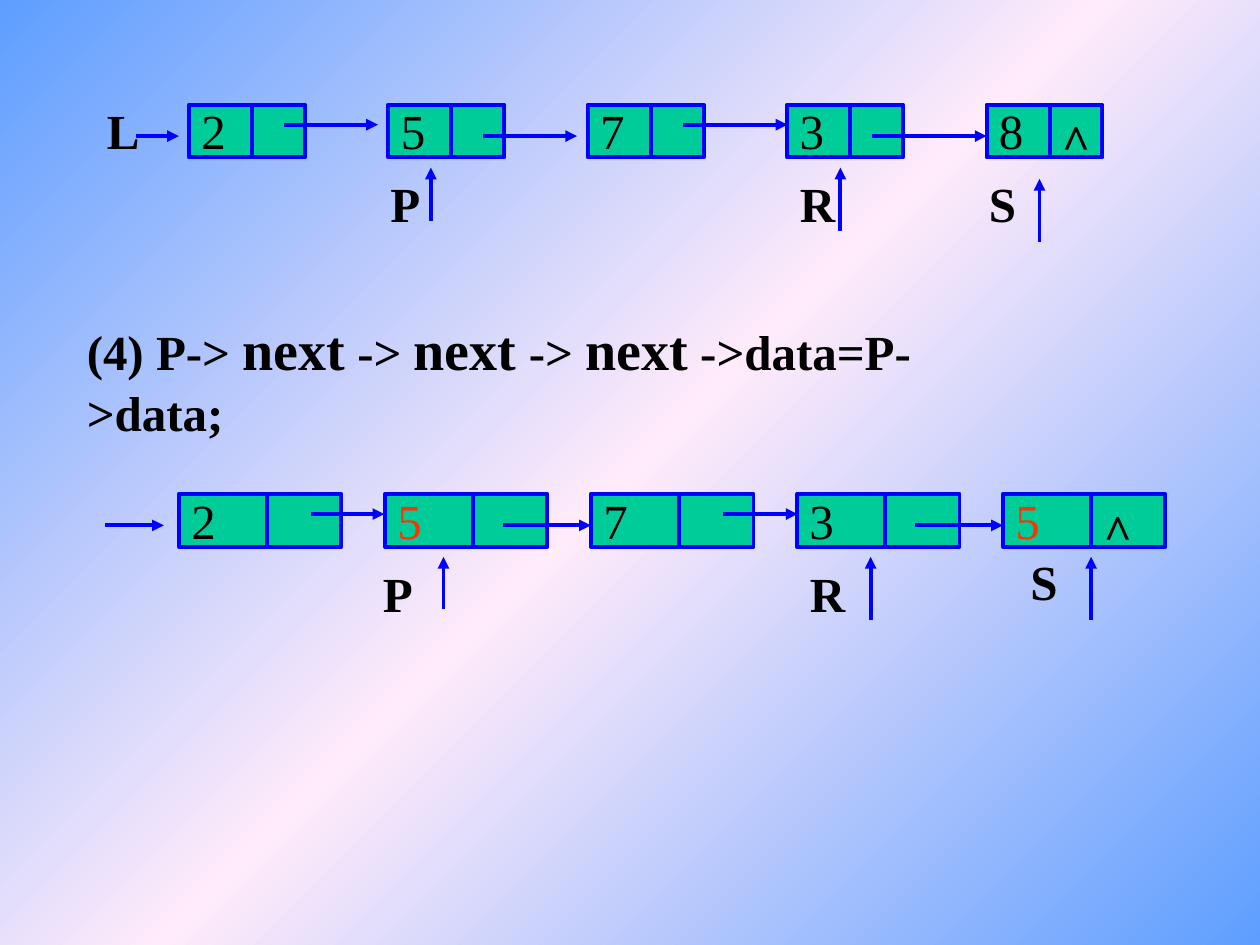
import copy

import pptx
import pptx.dml.color
import pptx.enum.shapes
import pptx.enum.text
import pptx.oxml
import pptx.oxml.ns
import pptx.util

Inches = pptx.util.Inches
Pt = pptx.util.Pt

COLORS = {
    "edge": "5E9EFF",
    "band": "FFEBFA",
    "node": "00CC99",
    "line": "0000FF",
    "text": "000000",
    "changed": "FF3300",
}
FONT = "Times New Roman"
NODE_HEIGHT = 0.42
TEXT_HEIGHT = 0.57


def color(name):
    return pptx.dml.color.RGBColor.from_string(COLORS[name])


def paint_background(page):
    fill = page.background.fill
    fill.gradient()
    fill.gradient_angle = 135
    first = page.element.find(".//" + pptx.oxml.ns.qn("a:gs"))
    first.addnext(copy.deepcopy(first))
    for stop, position, name in zip(fill.gradient_stops, (0, 0.5, 1), ("edge", "band", "edge")):
        stop.position = position
        stop.color.rgb = color(name)


def add_text(shapes, text, left, top, width, height=TEXT_HEIGHT, bold=True, name="text", wrap=True):
    box = shapes.add_textbox(Inches(left), Inches(top), Inches(width), Inches(height))
    frame = box.text_frame
    frame.word_wrap = wrap
    frame.auto_size = pptx.enum.text.MSO_AUTO_SIZE.SHAPE_TO_FIT_TEXT
    para = frame.paragraphs[0]
    for part in [text] if isinstance(text, str) else text:
        span = para.add_run()
        span.text = part
        span.font.name = FONT
        span.font.size = Pt(32 if part == "next" else 28)
        span.font.bold = bold
        span.font.color.rgb = color(name)


def add_line(shapes, start, end, arrow=False):
    line = shapes.add_connector(
        pptx.enum.shapes.MSO_CONNECTOR.STRAIGHT,
        Inches(start[0]), Inches(start[1]), Inches(end[0]), Inches(end[1]),
    )
    line.line.color.rgb = color("line")
    line.line.width = Pt(2.25)
    if arrow:
        outline = line.line._get_or_add_ln()
        outline.append(pptx.oxml.parse_xml(
            "<a:tailEnd %s type='triangle'/>" % pptx.oxml.ns.nsdecls("a")))
    line.element.spPr.append(pptx.oxml.parse_xml("<a:effectLst %s/>" % pptx.oxml.ns.nsdecls("a")))


def add_node(shapes, value, left, top, width, data_width, name):
    node = shapes.add_shape(
        pptx.enum.shapes.MSO_SHAPE.RECTANGLE,
        Inches(left), Inches(top), Inches(width), Inches(NODE_HEIGHT),
    )
    node.shadow.inherit = False
    node.fill.solid()
    node.fill.fore_color.rgb = color("node")
    node.line.color.rgb = color("line")
    node.line.width = Pt(2.25)
    divider = left + data_width
    add_line(shapes, (divider, top), (divider, top + NODE_HEIGHT))
    add_text(shapes, value, left, top - 0.08, data_width, bold=False, name=name)


def add_linked_list(page, values, first, last, top, width, data_width, links, labels, pointers, changed=()):
    shapes = page.shapes.add_group_shape().shapes
    pitch = (last - first) / (len(values) - 1)
    for index, value in enumerate(values):
        name = "changed" if index in changed else "text"
        add_node(shapes, value, first + index * pitch, top, width, data_width, name)
    add_text(shapes, "^", last + data_width, top, width - data_width)
    for index, (start, end) in enumerate(links):
        y = top + (0.16 if index % 2 else 0.25)
        add_line(shapes, (start, y), (end, y), arrow=True)
    for text, left, label_top, label_width in labels:
        add_text(shapes, text, left, label_top, label_width)
    for x, bottom, tip in pointers:
        add_line(shapes, (x, bottom), (x, tip), arrow=True)


def main():
    deck = pptx.Presentation()
    deck.slide_width = Inches(10)
    deck.slide_height = Inches(7.5)
    page = deck.slides.add_slide(deck.slide_layouts[6])
    paint_background(page)

    statement = ["(4) P-> ", "next", " -> ", "next", " -> ", "next", " ->data=P->data;"]
    add_text(page.shapes, statement, 0.59, 2.45, 7.82, height=0.64, wrap=False)

    add_linked_list(
        page, "25735", first=1.42, last=7.96, top=3.92, width=1.29, data_width=0.7,
        links=[(0.83, 1.3), (2.47, 3.05), (3.99, 4.69), (5.74, 6.33), (7.26, 7.96)],
        labels=[("P", 2.94, 4.42, 1.64), ("R", 6.33, 4.42, 1.17), ("S", 8.08, 4.33, 0.41)],
        pointers=[(3.52, 4.83, 4.42), (6.91, 4.92, 4.42), (8.66, 4.92, 4.42)],
        changed=(1, 4),
    )
    add_linked_list(
        page, "25738", first=1.5, last=7.83, top=0.83, width=0.92, data_width=0.5,
        links=[(1.08, 1.42), (2.25, 3), (3.83, 4.58), (5.42, 6.25), (6.92, 7.83)],
        labels=[("L", 0.75, 0.75, 0.5), ("P", 3, 1.33, 1.17),
                ("R", 6.25, 1.33, 0.83), ("S", 7.75, 1.33, 0.75)],
        pointers=[(3.42, 1.75, 1.33), (6.67, 1.83, 1.33), (8.25, 1.92, 1.42)],
    )
    deck.save("out.pptx")


if __name__ == "__main__":
    main()
